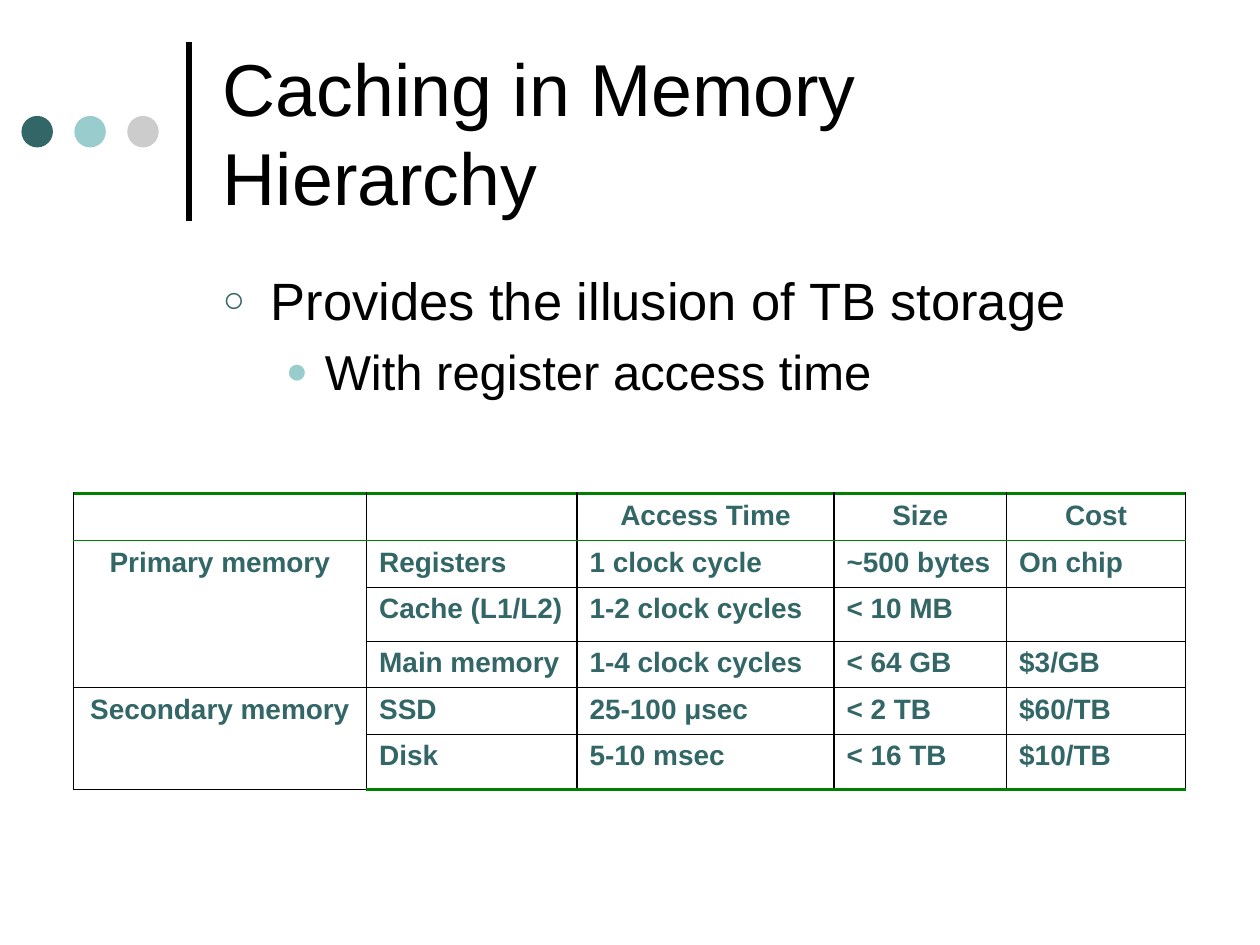
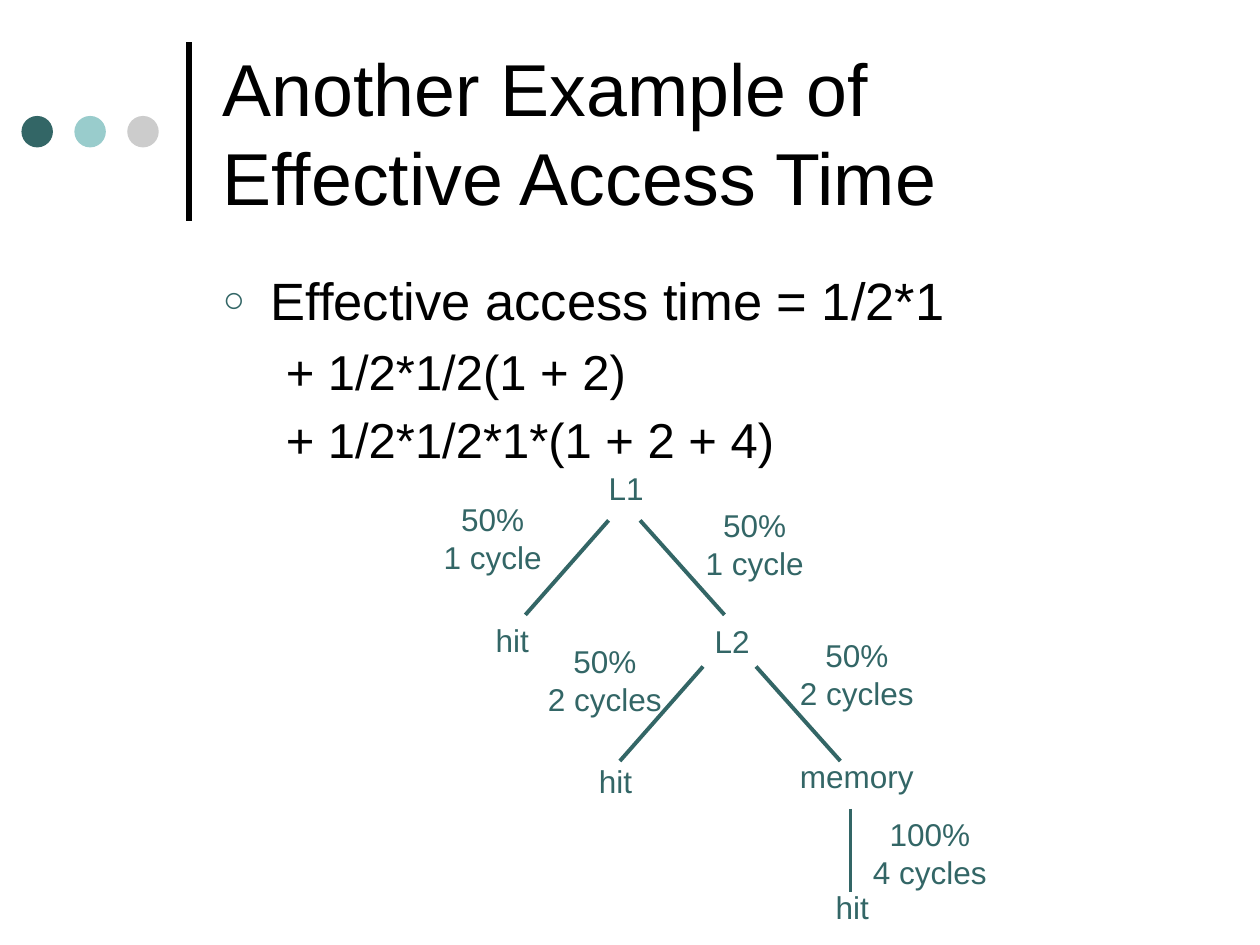
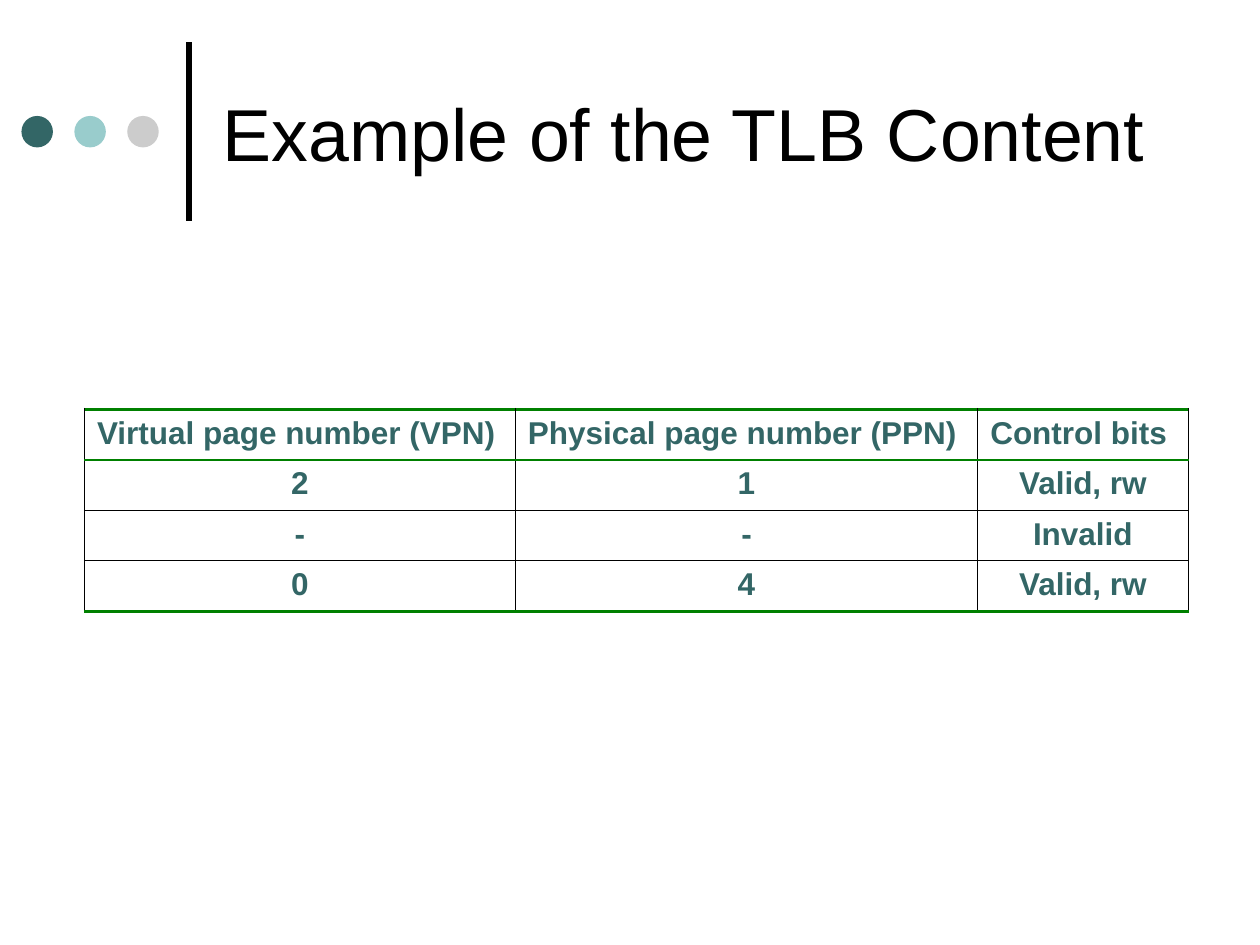
"""Build three slides on memory hierarchy, effective access time and the TLB."""

from dataclasses import dataclass

import lxml.etree
import pptx
import pptx.dml.color
import pptx.enum.shapes
import pptx.enum.text
import pptx.oxml
import pptx.oxml.ns
import pptx.util

Inches = pptx.util.Inches
Pt = pptx.util.Pt
ALIGN = pptx.enum.text.PP_ALIGN

FONT = "Arial"
COLORS = {
    "black": "000000",
    "teal": "336666",
    "aqua": "99CCCC",
    "gray": "CCCCCC",
    "green": "008000",
}


@dataclass(frozen=True)
class Bullet:
    text: str
    level: int = 0
    mark: str = ""


@dataclass(frozen=True)
class BulletLevel:
    size: int
    margin: float
    indent: float
    color: str
    percent: int


@dataclass(frozen=True)
class Label:
    left: float
    top: float
    width: float
    text: str


@dataclass(frozen=True)
class Line:
    start: tuple[float, float]
    end: tuple[float, float]


@dataclass(frozen=True)
class Grid:
    left: float
    top: float
    widths: list[float]
    heights: list[float]
    rows: list[list[str]]
    size: int
    centered_header: list[int]
    centered_body: list[int]
    merges: list[tuple[int, int]]


BULLET_LEVELS = [
    BulletLevel(30, 0.38, -0.38, "teal", 70),
    BulletLevel(28, 0.81, -0.31, "aqua", 75),
]

MEMORY_GRID = Grid(
    left=0.58,
    top=3.92,
    widths=[2.33, 1.67, 2.04, 1.37, 1.42],
    heights=[0.37, 0.37, 0.43, 0.37, 0.37, 0.44],
    rows=[
        ["", "", "Access Time", "Size", "Cost"],
        ["Primary memory", "Registers", "1 clock cycle", "~500 bytes", "On chip"],
        ["", "Cache (L1/L2)", "1-2 clock cycles", "< 10 MB", ""],
        ["", "Main memory", "1-4 clock cycles", "< 64 GB", "$3/GB"],
        ["Secondary memory", "SSD", "25-100 μsec", "< 2 TB", "$60/TB"],
        ["", "Disk", "5-10 msec", "< 16 TB", "$10/TB"],
    ],
    size=16,
    centered_header=[2, 3, 4],
    centered_body=[0],
    merges=[(1, 3), (4, 5)],
)

TLB_GRID = Grid(
    left=0.67,
    top=3.25,
    widths=[3.42, 3.67, 1.67],
    heights=[0.4] * 4,
    rows=[
        ["Virtual page number (VPN)", "Physical page number (PPN)", "Control bits"],
        ["2", "1", "Valid, rw"],
        ["-", "-", "Invalid"],
        ["0", "4", "Valid, rw"],
    ],
    size=18,
    centered_header=[],
    centered_body=[0, 1, 2],
    merges=[],
)

TREE_LABELS = [
    Label(4.73, 3.67, 0.48, "L1"),
    Label(3.83, 4.88, 0.47, "hit"),
    Label(3.42, 3.92, 0.98, "50%\n1 cycle"),
    Label(5.5, 3.97, 0.98, "50%\n1 cycle"),
    Label(5.57, 4.89, 0.48, "L2"),
    Label(4.25, 5.05, 1.1, "50%\n2 cycles"),
    Label(4.65, 6, 0.47, "hit"),
    Label(6.25, 5, 1.1, "50%\n2 cycles"),
    Label(6.25, 5.96, 1.1, "memory"),
    Label(6.53, 7, 0.47, "hit"),
    Label(6.83, 6.42, 1.1, "100%\n4 cycles"),
]

TREE_BRANCHES = [
    Line((4.83, 4.13), (4.17, 4.88)),
    Line((5.08, 4.13), (5.75, 4.88)),
    Line((5.58, 5.29), (4.92, 6.04)),
    Line((6, 5.29), (6.67, 6.04)),
    Line((6.75, 6.42), (6.75, 7.08)),
]


def rgb(name: str) -> pptx.dml.color.RGBColor:
    return pptx.dml.color.RGBColor.from_string(COLORS[name])


def add_child(parent, tag: str, **attributes: str):
    child = lxml.etree.SubElement(parent, pptx.oxml.ns.qn(tag))
    for name, value in attributes.items():
        child.set(name, value)
    return child


def style_font(paragraph, size: int, color: str, bold: bool = False) -> None:
    paragraph.font.name = FONT
    paragraph.font.size = Pt(size)
    paragraph.font.bold = bold
    paragraph.font.color.rgb = rgb(color)


def add_line(slide, line: Line, color: str, width: float) -> None:
    points = [Inches(value) for value in (*line.start, *line.end)]
    connector = slide.shapes.add_connector(
        pptx.enum.shapes.MSO_CONNECTOR.STRAIGHT, *points
    )
    connector.line.color.rgb = rgb(color)
    connector.line.width = Pt(width)
    add_child(connector._element.spPr, "a:effectLst")


def add_text_box(slide, left: float, top: float, width: float, height: float):
    box = slide.shapes.add_textbox(
        Inches(left), Inches(top), Inches(width), Inches(height)
    )
    box.text_frame.word_wrap = True
    return box.text_frame


def add_titled_slide(presentation, title: str):
    slide = presentation.slides.add_slide(presentation.slide_layouts[6])
    add_line(slide, Line((1.5, 1.75), (1.5, 0.33)), "black", 3)
    for index, color in enumerate(("teal", "aqua", "gray")):
        dot = slide.shapes.add_shape(
            pptx.enum.shapes.MSO_SHAPE.OVAL,
            Inches(0.17 + 0.42 * index),
            Inches(0.92),
            Inches(0.25),
            Inches(0.25),
        )
        dot.shadow.inherit = False
        dot.fill.solid()
        dot.fill.fore_color.rgb = rgb(color)
        dot.line.fill.background()
    frame = add_text_box(slide, 1.67, 0.21, 7.67, 1.67)
    frame.vertical_anchor = pptx.enum.text.MSO_ANCHOR.MIDDLE
    frame.text = title
    style_font(frame.paragraphs[0], 42, "black")
    return slide


def add_bullets(slide, bullets: list[Bullet]) -> None:
    frame = add_text_box(slide, 1.67, 2.08, 7.67, 4.5)
    frame.text = "\n".join(bullet.text for bullet in bullets)
    for paragraph, bullet in zip(frame.paragraphs, bullets):
        level = BULLET_LEVELS[bullet.level]
        paragraph.level = bullet.level
        properties = paragraph._p.get_or_add_pPr()
        properties.set("marL", str(Inches(level.margin)))
        properties.set("indent", str(Inches(level.indent)))
        spacing = add_child(properties, "a:spcBef")
        add_child(spacing, "a:spcPct", val="20000")
        if bullet.mark:
            color = add_child(properties, "a:buClr")
            add_child(color, "a:srgbClr", val=COLORS[level.color])
            add_child(properties, "a:buSzPct", val=str(level.percent * 1000))
            add_child(properties, "a:buFont", typeface=FONT)
            add_child(properties, "a:buChar", char=bullet.mark)
        else:
            add_child(properties, "a:buNone")
        style_font(paragraph, level.size, "black")


def add_label(slide, label: Label) -> None:
    height = 0.4 + 0.3 * label.text.count("\n")
    frame = add_text_box(slide, label.left, label.top, label.width, height)
    frame.word_wrap = False
    frame.auto_size = pptx.enum.text.MSO_AUTO_SIZE.SHAPE_TO_FIT_TEXT
    frame.text = label.text
    for paragraph in frame.paragraphs:
        paragraph.alignment = ALIGN.CENTER
        style_font(paragraph, 18, "teal")


def set_borders(cell, row: int, last_row: int) -> None:
    plain = ("black", 0.75)
    outer = ("green", 2)
    header = ("green", 1)
    borders = {
        "a:lnL": plain,
        "a:lnR": plain,
        "a:lnT": {0: outer, 1: header}.get(row, plain),
        "a:lnB": {0: header, last_row: outer}.get(row, plain),
    }
    properties = cell._tc.get_or_add_tcPr()
    for tag, (color, width) in borders.items():
        line = add_child(properties, tag, w=str(Pt(width)))
        fill = add_child(line, "a:solidFill")
        add_child(fill, "a:srgbClr", val=COLORS[color])


def add_grid(slide, grid: Grid) -> None:
    table = slide.shapes.add_table(
        len(grid.heights),
        len(grid.widths),
        Inches(grid.left),
        Inches(grid.top),
        Inches(sum(grid.widths)),
        Inches(sum(grid.heights)),
    ).table
    table.first_row = False
    table.horz_banding = False
    for column, width in zip(table.columns, grid.widths):
        column.width = Inches(width)
    for row, height in zip(table.rows, grid.heights):
        row.height = Inches(height)
    for row_index, texts in enumerate(grid.rows):
        centered = grid.centered_body if row_index else grid.centered_header
        for column_index, text in enumerate(texts):
            cell = table.cell(row_index, column_index)
            cell.text = text
            set_borders(cell, row_index, len(grid.rows) - 1)
            cell.fill.background()
            paragraph = cell.text_frame.paragraphs[0]
            paragraph.alignment = (
                ALIGN.CENTER if column_index in centered else ALIGN.LEFT
            )
            style_font(paragraph, grid.size, "teal", bold=True)
    for first, last in grid.merges:
        table.cell(first, 0).merge(table.cell(last, 0))


def main() -> None:
    presentation = pptx.Presentation()
    presentation.slide_width = Inches(10)
    presentation.slide_height = Inches(7.5)

    slide = add_titled_slide(presentation, "Caching in Memory Hierarchy")
    add_bullets(
        slide,
        [
            Bullet("Provides the illusion of TB storage", mark="○"),
            Bullet("With register access time", 1, "●"),
        ],
    )
    add_grid(slide, MEMORY_GRID)

    slide = add_titled_slide(presentation, "Another Example of Effective Access Time")
    add_bullets(
        slide,
        [
            Bullet("Effective access time = 1/2*1", mark="○"),
            Bullet("+ 1/2*1/2(1 + 2)", 1),
            Bullet("+ 1/2*1/2*1*(1 + 2 + 4)", 1),
        ],
    )
    for branch in TREE_BRANCHES:
        add_line(slide, branch, "teal", 2.25)
    for label in TREE_LABELS:
        add_label(slide, label)

    slide = add_titled_slide(presentation, "Example of the TLB Content")
    add_grid(slide, TLB_GRID)

    presentation.save("out.pptx")


if __name__ == "__main__":
    main()
